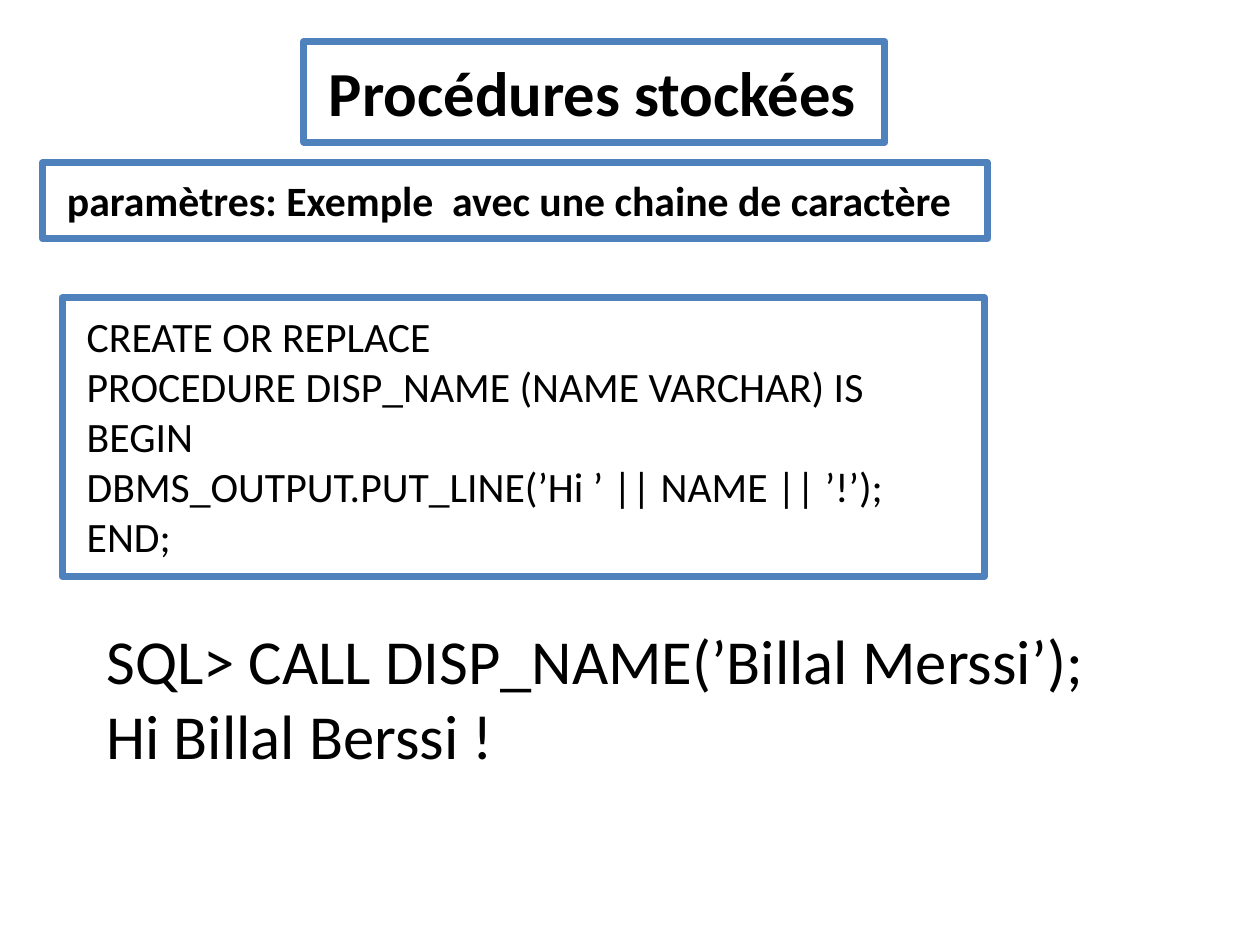
"""Build the slide on stored procedures with a string parameter."""
from dataclasses import dataclass

import pptx
import pptx.dml.color
import pptx.enum.shapes
import pptx.enum.text
import pptx.util
from pptx.util import Cm

COLORS = {"text": "000000", "fill": "FFFFFF", "frame": "4F81BD"}


@dataclass
class Box:
    kind: str
    left: float
    top: float
    width: float
    height: float
    text: str
    size: int
    bold: bool = False
    wrap: bool = True


BOXES = [
    Box("frame", 0.43, 1.65, 9.58, 0.77,
        "paramètres: Exemple  avec une chaine de caractère", 12, bold=True, wrap=False),
    Box("title", 3.08, 0.42, 5.89, 1.02, "Procédures stockées", 18, bold=True, wrap=False),
    Box("frame", 0.63, 3.02, 9.35, 2.82,
        "CREATE OR REPLACE\n"
        "PROCEDURE DISP_NAME (NAME VARCHAR) IS\n"
        "BEGIN\n"
        "DBMS_OUTPUT.PUT_LINE(’Hi ’ || NAME || ’!’);\n"
        "END;", 12),
    Box("plain", 0.83, 6.18, 11.94, 1.8,
        "SQL> CALL DISP_NAME(’Billal Merssi’);\nHi Billal Berssi !", 18),
]


def rgb(name: str) -> pptx.dml.color.RGBColor:
    return pptx.dml.color.RGBColor.from_string(COLORS[name])


def write(tf, text: str, *, size: int, bold: bool, wrap: bool) -> None:
    tf.word_wrap = wrap
    tf.auto_size = pptx.enum.text.MSO_AUTO_SIZE.NONE
    tf.vertical_anchor = pptx.enum.text.MSO_ANCHOR.TOP
    tf.text = text
    for p in tf.paragraphs:
        p.alignment = pptx.enum.text.PP_ALIGN.LEFT
        for r in p.runs:
            r.font.name = "Calibri"
            r.font.size = pptx.util.Pt(size)
            r.font.bold = bold
            r.font.color.rgb = rgb("text")


def draw(s, box: Box) -> None:
    place = [Cm(v) for v in (box.left, box.top, box.width, box.height)]
    if box.kind == "title":
        sp = s.shapes.title
        sp.left, sp.top, sp.width, sp.height = place
    elif box.kind == "frame":
        sp = s.shapes.add_shape(pptx.enum.shapes.MSO_SHAPE.RECTANGLE, *place)
        sp.shadow.inherit = False
    else:
        sp = s.shapes.add_textbox(*place)
    if box.kind != "plain":
        sp.fill.solid()
        sp.fill.fore_color.rgb = rgb("fill")
        sp.line.color.rgb = rgb("frame")
        sp.line.width = pptx.util.Pt(2)
    write(sp.text_frame, box.text, size=box.size, bold=box.bold, wrap=box.wrap)


def main() -> None:
    prs = pptx.Presentation()
    prs.slide_width, prs.slide_height = pptx.util.Pt(362), pptx.util.Pt(272)
    s = prs.slides.add_slide(prs.slide_layouts[5])
    for box in BOXES:
        draw(s, box)
    prs.save("out.pptx")


if __name__ == "__main__":
    main()
